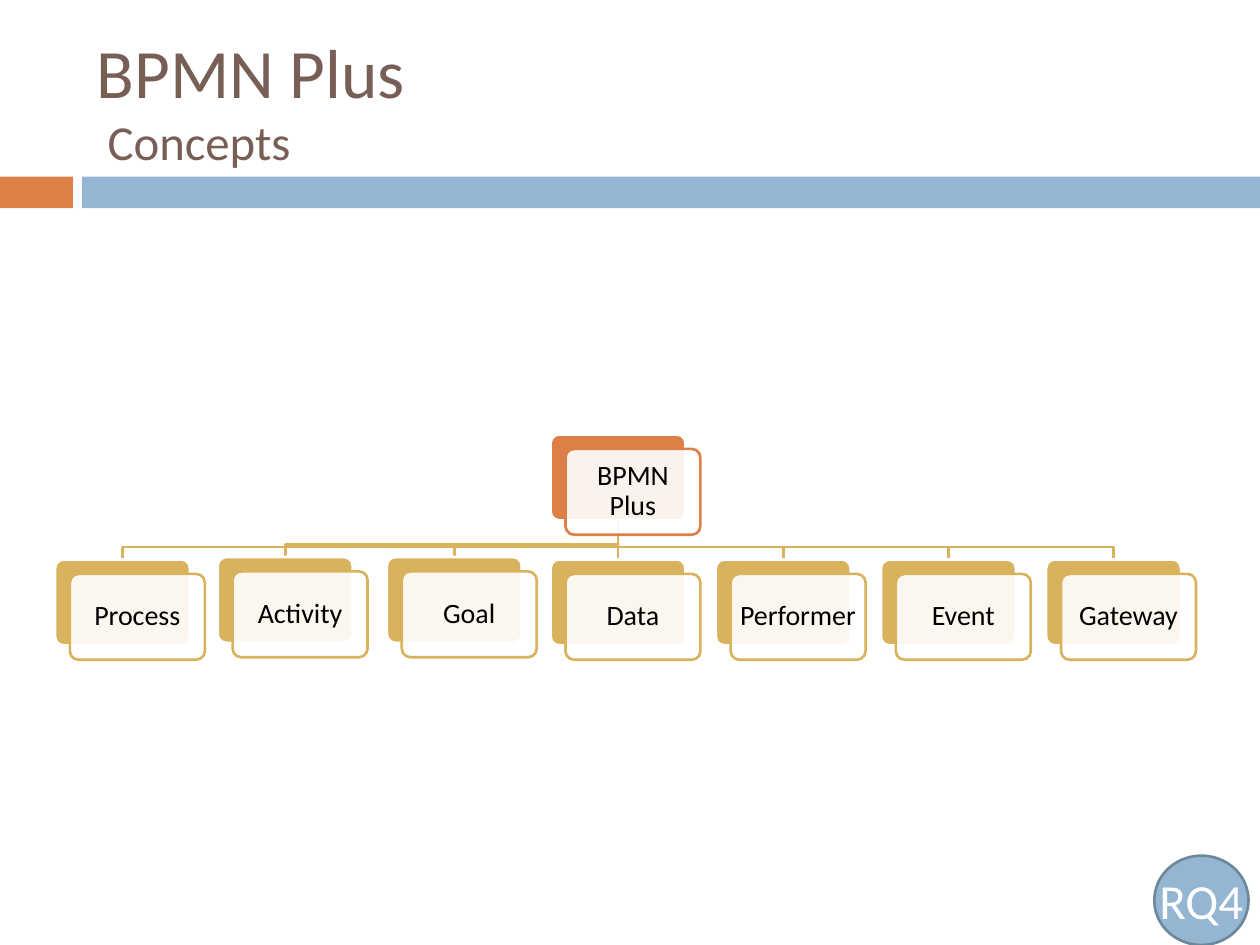
from lxml import etree
from pptx import Presentation
from pptx.dml.color import RGBColor
from pptx.enum.shapes import MSO_CONNECTOR, MSO_SHAPE
from pptx.enum.text import MSO_ANCHOR, PP_ALIGN
from pptx.oxml.ns import qn
from pptx.util import Cm, Pt

RECT, ROUND, OVAL = MSO_SHAPE.RECTANGLE, MSO_SHAPE.ROUNDED_RECTANGLE, MSO_SHAPE.OVAL
STRAIGHT = MSO_CONNECTOR.STRAIGHT
MIDDLE = MSO_ANCHOR.MIDDLE
LEFT, CENTER = PP_ALIGN.LEFT, PP_ALIGN.CENTER

HEX = {"orange": "DD8047", "blue": "94B6D2", "gold": "D8B25C", "brown": "775F55",
       "steel": "6D879B", "white": "FFFFFF", "black": "000000"}
RGB = {name: RGBColor.from_string(code) for name, code in HEX.items()}

deck = Presentation()
deck.slide_width, deck.slide_height = Cm(25.4), Cm(19.05)
slide = deck.slides.add_slide(deck.slide_layouts[6])
shapes = slide.shapes


def add_block(kind, x, y, w, h, fill, line=None):
    block = shapes.add_shape(kind, Cm(x), Cm(y), Cm(w), Cm(h))
    block.shadow.inherit = False
    block.fill.solid()
    block.fill.fore_color.rgb = RGB[fill]
    if line:
        block.line.color.rgb = RGB[line]
        block.line.width = Pt(1.5)
    else:
        block.line.fill.background()
    if kind == ROUND:
        block.adjustments[0] = 0.1
    return block


def set_text(shape, text, sizes, color, align):
    """Write one paragraph, giving each of its lines its own size."""
    frame = shape.text_frame
    frame.vertical_anchor = MIDDLE
    par = frame.paragraphs[0]
    par.text = text
    par.alignment = align
    for run, size in zip(par.runs, sizes):
        run.font.name = "Calibri"
        run.font.size = Pt(size)
        run.font.color.rgb = RGB[color]
    return frame


# Header
add_block(RECT, 0, 3.56, 1.47, 0.64, "orange")
add_block(RECT, 1.65, 3.56, 23.75, 0.64, "blue")
title = shapes.add_textbox(Cm(1.7), Cm(0.64), Cm(22.66), Cm(2.74))
set_text(title, "BPMN Plus\v Concepts", (39.6, 27.9), "brown", LEFT).word_wrap = True

# Tree layout: seven children at an equal pitch, two of them nudged
CARD_W, CARD_H = 2.72, 1.73
PITCH, START = 3.33, 1.11
ROOT_X, ROOT_Y, ROW_Y = START + 3 * PITCH, 8.76, 11.28
nudges = {"Activity": (-0.05, -0.05), "Goal": (0.03, -0.05)}
names = ["Process", "Activity", "Goal", "Data", "Performer", "Event", "Gateway"]
cards = []
for i, name in enumerate(names):
    dx, dy = nudges.get(name, (0, 0))
    cards.append((name, START + i * PITCH + dx, ROW_Y + dy, "gold"))

# Branches
stem, base = ROOT_X + CARD_W / 2, ROOT_Y + CARD_H
for name, x, y, color in cards:
    end = x + CARD_W / 2
    if name == "Data":
        link = shapes.add_connector(STRAIGHT, Cm(stem), Cm(base), Cm(stem), Cm(y))
        etree.SubElement(link._element.spPr, qn("a:effectLst"))
    else:
        path = shapes.build_freeform(Cm(stem), Cm(base))
        bend = y - 0.25
        points = [(stem, bend), (end, bend), (end, y)]
        path.add_line_segments([(Cm(px), Cm(py)) for px, py in points], close=False)
        link = path.convert_to_shape()
        link.shadow.inherit = False
        link.fill.background()
    link.line.color.rgb = RGB[color]
    link.line.width = Pt(1.5)

# Cards
for name, x, y, color in [("BPMN Plus", ROOT_X, ROOT_Y, "orange")] + cards:
    add_block(ROUND, x, y, CARD_W, CARD_H, color, "white")
    front = add_block(ROUND, x + 0.3, y + 0.29, CARD_W, CARD_H, "white", color)
    tint = front._element.spPr.find(qn("a:solidFill"))[0]
    etree.SubElement(tint, qn("a:alpha")).set("val", "90000")
    frame = set_text(front, name, (16,), "black", CENTER)
    frame.word_wrap = True
    frame.margin_left = frame.margin_right = Cm(0.12)
    frame.margin_top = frame.margin_bottom = Cm(0.18)
    frame.paragraphs[0].line_spacing = 0.9

# Question badge
badge = add_block(OVAL, 23.27, 17.25, 1.9, 1.8, "blue", "steel")
set_text(badge, "RQ4", (28,), "white", CENTER).word_wrap = False

deck.save("out.pptx")
